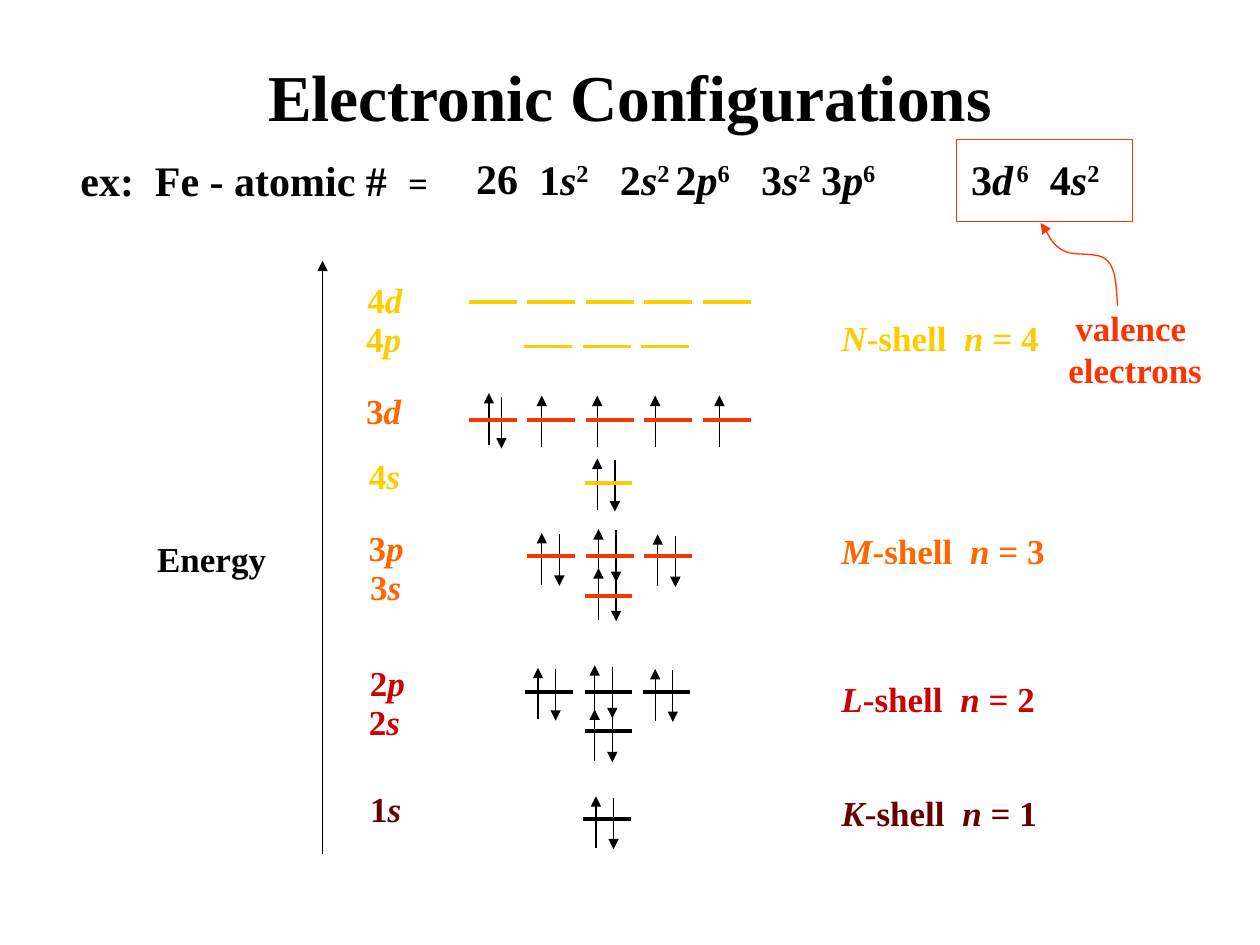
"""Build the slide on the electronic configuration of iron."""
import lxml.etree
import pptx
import pptx.dml.color
import pptx.enum.shapes
import pptx.enum.text
import pptx.oxml.ns
import pptx.util

RGBColor = pptx.dml.color.RGBColor
BLACK = RGBColor(0x00, 0x00, 0x00)
MAROON = RGBColor(0x66, 0x00, 0x00)
CRIMSON = RGBColor(0xCC, 0x00, 0x00)
ORANGE = RGBColor(0xFF, 0x66, 0x00)
VERMILION = RGBColor(0xFF, 0x33, 0x00)
YELLOW = RGBColor(0xFF, 0xCC, 0x00)
FONT = "Times New Roman"
PX = 9144
LEFT = pptx.enum.text.PP_ALIGN.LEFT
CENTER = pptx.enum.text.PP_ALIGN.CENTER
STRAIGHT = pptx.enum.shapes.MSO_CONNECTOR.STRAIGHT
qn = pptx.oxml.ns.qn

deck = pptx.Presentation()
deck.slide_width = 1000 * PX
deck.slide_height = 750 * PX
slide = deck.slides.add_slide(deck.slide_layouts[5])
shapes = slide.shapes


def add_text(box, paragraphs, size, colour, align=LEFT):
    frame = shapes.add_textbox(*(value * PX for value in box)).text_frame
    frame.word_wrap = True
    for index, runs in enumerate(paragraphs):
        paragraph = frame.add_paragraph() if index else frame.paragraphs[0]
        paragraph.alignment = align
        for text, style in runs:
            run = paragraph.add_run()
            run.text = text
            run.font.name = FONT
            run.font.bold = True
            run.font.italic = style == "italic"
            run.font.size = pptx.util.Pt(size)
            run.font.color.rgb = colour
            if style == "super":
                run.font._element.set("baseline", "30000")
    return frame


def stroke(shape, colour, width, arrow=False):
    shape.line.color.rgb = colour
    shape.line.width = pptx.util.Pt(width)
    properties = shape._element.spPr
    if arrow:
        outline = properties.find(qn("a:ln"))
        lxml.etree.SubElement(outline, qn("a:tailEnd"), type="triangle")
    lxml.etree.SubElement(properties, qn("a:effectLst"))


title = shapes.title
title.left, title.top, title.width, title.height = (v * PX for v in (42, 42, 917, 75))
title.text_frame.text = "Electronic Configurations"
title.text_frame.auto_size = pptx.enum.text.MSO_AUTO_SIZE.NONE
title.text_frame.vertical_anchor = pptx.enum.text.MSO_ANCHOR.MIDDLE
heading = title.text_frame.paragraphs[0]
heading.alignment = CENTER
heading.line_spacing = 0.9
heading.runs[0].font.name = FONT
heading.runs[0].font.size = pptx.util.Pt(37.4)
heading.runs[0].font.bold = True
heading.runs[0].font.color.rgb = BLACK

example = add_text((54, 118, 850, 87), [[("ex:  Fe - atomic #  ", ""), ("=", "")]], 24, BLACK)
example.paragraphs[0].runs[1].font.size = pptx.util.Pt(20)
add_text((347, 116, 95, 50), [[("26", "")]], 24, BLACK, CENTER)

core = [
    ("1", ""), ("s", "italic"), ("2", "super"),
    ("   2", ""), ("s", "italic"), ("2 ", "super"),
    ("2", ""), ("p", "italic"), ("6", "super"),
    ("   3", ""), ("s", "italic"), ("2", "super"),
    (" 3", ""), ("p", "italic"), ("6", "super"),
]
add_text((418, 117, 376, 50), [core], 24, BLACK)
valence = [
    ("3", ""), ("d", "italic"), (" ", "italic"), ("6", "super"),
    ("  4", ""), ("s", "italic"), ("2", "super"),
]
outer = add_text((761, 117, 128, 50), [valence], 24, BLACK)
outer.paragraphs[0].runs[2].font.size = pptx.util.Pt(8)

valence_frame = shapes.add_shape(
    pptx.enum.shapes.MSO_SHAPE.RECTANGLE, 759 * PX, 111 * PX, 140 * PX, 65 * PX)
valence_frame.fill.background()
stroke(valence_frame, VERMILION, 0.75)
add_text((836, 238, 130, 77), [[("valence ", "")], [("electrons", "")]],
         20, VERMILION, CENTER)

bends = [(886, 229), (886, 214), (879, 207), (872, 199), (852, 204), (844, 199),
         (835, 194), (829, 180), (826, 177)]
builder = shapes.build_freeform(887, 243, scale=PX)
builder.add_line_segments(bends, close=False)
pointer = builder.convert_to_shape()
pointer.fill.background()
stroke(pointer, VERMILION, 0.75, arrow=True)
segments = list(pointer._element.iter(qn("a:lnTo")))
for first in range(0, len(segments), 3):
    curve = lxml.etree.SubElement(segments[first].getparent(), qn("a:cubicBezTo"))
    for segment in segments[first:first + 3]:
        curve.append(segment[0])
        segment.getparent().remove(segment)

energy_axis = shapes.add_connector(STRAIGHT, 256 * PX, 678 * PX, 256 * PX, 207 * PX)
stroke(energy_axis, BLACK, 0.75, arrow=True)
add_text((113, 422, 110, 44), [[("Energy", "")]], 20, BLACK, CENTER)

paired_electrons = [
    (473, 632), (472, 563), (427, 530), (472, 528), (520, 531), (475, 451),
    (430, 423), (475, 420), (522, 424), (474, 364),
]
spin_up = paired_electrons + [(388, 312), (430, 314), (474, 314), (520, 314), (571, 314)]
spin_down = [(x + 14, top + 1) for x, top in paired_electrons] + [(398, 315)]
electrons = [(x, top + 41, top) for x, top in spin_up]
electrons += [(x, top, top + 41) for x, top in spin_down]
for x, start, end in electrons:
    electron = shapes.add_connector(STRAIGHT, x * PX, start * PX, x * PX, end * PX)
    stroke(electron, BLACK, 0.75, arrow=True)

subshells = [
    ("1", "s", 280, 620, MAROON, 463, 650, BLACK),
    ("2", "s", 279, 551, CRIMSON, 464, 580, BLACK),
    ("2", "p", 274, 520, CRIMSON, 464, 549, BLACK),
    ("3", "s", 280, 444, ORANGE, 464, 473, VERMILION),
    ("3", "p", 273, 413, ORANGE, 465, 441, VERMILION),
    ("3", "d", 271, 304, ORANGE, 465, 333, VERMILION),
    ("4", "s", 279, 356, YELLOW, 464, 383, YELLOW),
    ("4", "p", 271, 247, YELLOW, 463, 275, YELLOW),
    ("4", "d", 272, 216, YELLOW, 465, 240, YELLOW),
]
for number, letter, left, top, colour, middle, level, level_colour in subshells:
    width = 52 if letter == "s" else 67
    add_text((left, top, width, 44), [[(number, ""), (letter, "italic")]], 20, colour, CENTER)
    reach = "spd".index(letter)
    for step in range(-reach, reach + 1):
        x = middle + step * 93 // 2
        orbital = shapes.add_connector(
            STRAIGHT, x * PX, level * PX, (x + 38) * PX, level * PX)
        stroke(orbital, level_colour, 2.25)

shells = [("K", 1, 623, MAROON), ("L", 2, 533, CRIMSON),
          ("M", 3, 415, ORANGE), ("N", 4, 246, YELLOW)]
for letter, number, top, colour in shells:
    runs = [(letter, "italic"), ("-shell  ", ""), ("n ", "italic"), (f"= {number}", "")]
    add_text((658, top, 185, 44), [runs], 20, colour)

deck.save("out.pptx")
